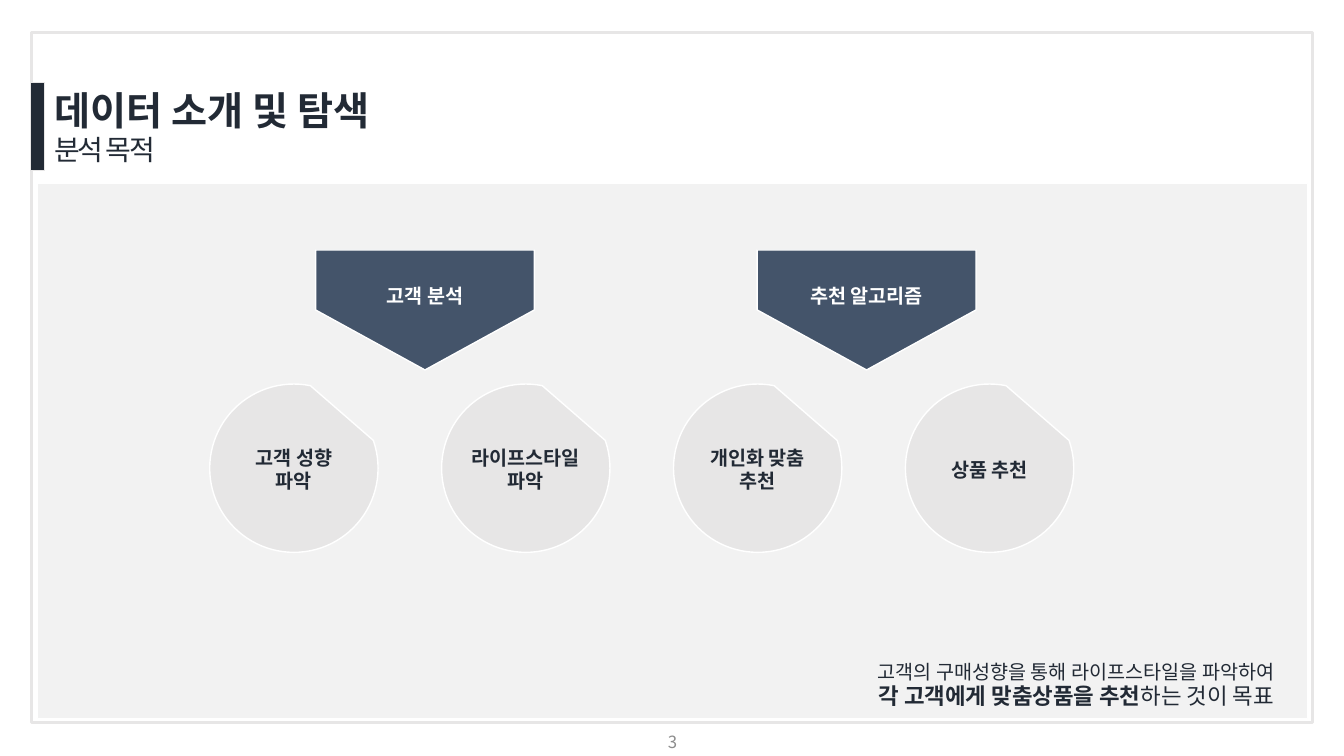
from lxml import etree
from pptx import Presentation
from pptx import util as u
from pptx.dml.color import RGBColor
from pptx.enum import shapes, text
from pptx.oxml.ns import qn

# Content: a line is (alignment, runs), a run is (words, size, bold)
TITLE = [("데이터 소개 및 탐색", "title", True), ("분석 목적", "subtitle", False)]
GOALS = [("고객 분석", 1.15), ("추천 알고리즘", 1.66)]  # label, width
# lines, label width
TASKS = [
    (["고객 성향 파악"], 1.15, 2),
    (["라이프스타일", "파악"], 1.49, 2),
    (["개인화 맞춤 추천"], 1.3, 2),
    (["상품 추천"], 1.15, 1),
]  # paragraphs, width, visible rows
SUMMARY = [
    [("고객의 구매성향을 통해 라이프스타일을 파악하여", "label", False)],
    [("각 고객에게 맞춤상품을 추천", "strong", True), ("하는 것이 목표", "strong", False)],
]
PAGE_NUMBER = "3"

THEME = {
    "font": "Noto Sans CJK KR",
    "colors": {"ink": "222A35", "slate": "44546A", "panel": "F2F2F2",
               "grey": "E7E6E6", "white": "FFFFFF", "muted": "8C8C8C"},
    "sizes": {"title": 28, "subtitle": 20, "strong": 16, "label": 14, "number": 12},
    "leading": 1.17,
}
SHAPE = shapes.MSO_SHAPE
CENTER = text.PP_ALIGN.CENTER


def color(name):
    return RGBColor.from_string(THEME["colors"][name])


def add_shape(slide, kind, box, fill, line, width=1, rotation=0, adjustments=()):
    shape = slide.shapes.add_shape(kind, *map(u.Inches, box))
    shape.shadow.inherit = False
    shape.rotation = rotation
    for index, value in enumerate(adjustments):
        shape.adjustments[index] = value
    if fill:
        shape.fill.solid()
        shape.fill.fore_color.rgb = color(fill)
    else:
        shape.fill.background()
    shape.line.color.rgb = color(line)
    shape.line.width = u.Pt(width)
    return shape


def add_text(slide, box, lines, ink="ink", align=CENTER, stretch=1):
    """Write one paragraph for each list of runs."""
    shape = slide.shapes.add_textbox(*map(u.Inches, box))
    frame = shape.text_frame
    frame.word_wrap = True
    for index, runs in enumerate(lines):
        paragraph = frame.paragraphs[0] if index == 0 else frame.add_paragraph()
        paragraph.alignment = align
        size = THEME["sizes"][runs[0][1]]
        paragraph.line_spacing = u.Pt(round(size * THEME["leading"] * stretch, 1))
        for words, size_name, bold in runs:
            run = paragraph.add_run()
            run.text = words
            run.font.size = u.Pt(THEME["sizes"][size_name])
            run.font.bold = bold
            run.font.color.rgb = color(ink)
            run.font.name = THEME["font"]
            properties = run.font._element
            east_asian = etree.SubElement(properties, qn("a:ea"))
            east_asian.set("typeface", THEME["font"])
            if size_name == "subtitle":
                properties.set("spc", "-150")
    return frame


def add_frame(slide):
    add_shape(slide, SHAPE.RECTANGLE, (0.31, 0.32, 12.71, 6.85), None, "grey", 2.25)
    add_shape(slide, SHAPE.ROUNDED_RECTANGLE, (0.37, 1.82, 12.6, 5.31),
              "panel", "white", adjustments=[0])
    add_text(slide, (0.44, 0.82, 3.97, 0.91), [[run] for run in TITLE],
             align=text.PP_ALIGN.LEFT)
    add_shape(slide, SHAPE.RECTANGLE, (0.3, 0.82, 0.14, 0.87), "ink", "grey")


def add_goals(slide):
    # Each arrow is turned a quarter to point down
    for index, (label, width) in enumerate(GOALS):
        left = 3.62 + index * 4.38
        center = left + 1.19 / 2
        add_shape(slide, SHAPE.PENTAGON, (left, 1.99, 1.19, 2.17),
                  "slate", "white", rotation=90)
        add_text(slide, (center - width / 2, 2.66, width, 0.42),
                 [[(label, "label", True)]], ink="white", stretch=1.5)


def add_tasks(slide):
    diameter, top = 1.67, 3.81
    for index, (lines, width, rows) in enumerate(TASKS):
        left = 2.08 + index * 2.3
        center = left + diameter / 2
        height = 0.11 + rows * 0.23
        add_shape(slide, SHAPE.CHORD, (left, top, diameter, diameter), "grey", "white",
                  rotation=11.3, adjustments=[197.64, 162])
        add_text(slide, (center - width / 2, 4.67 - height / 2, width, height),
                 [[(line, "label", True)] for line in lines])


def main():
    presentation = Presentation()
    presentation.slide_width = u.Inches(13.33)
    presentation.slide_height = u.Inches(7.5)
    slide = presentation.slides.add_slide(presentation.slide_layouts[6])

    # Border, panel and heading
    add_frame(slide)
    # Two goals over four tasks
    add_goals(slide)
    add_tasks(slide)
    # Summary and page number
    add_text(slide, (7.74, 6.5, 5.87, 0.61), SUMMARY)
    number = add_text(slide, (5.17, 7.17, 3, 0.39), [[(PAGE_NUMBER, "number", False)]],
                      ink="muted")
    number.vertical_anchor = text.MSO_ANCHOR.MIDDLE

    presentation.save("out.pptx")


if __name__ == "__main__":
    main()
